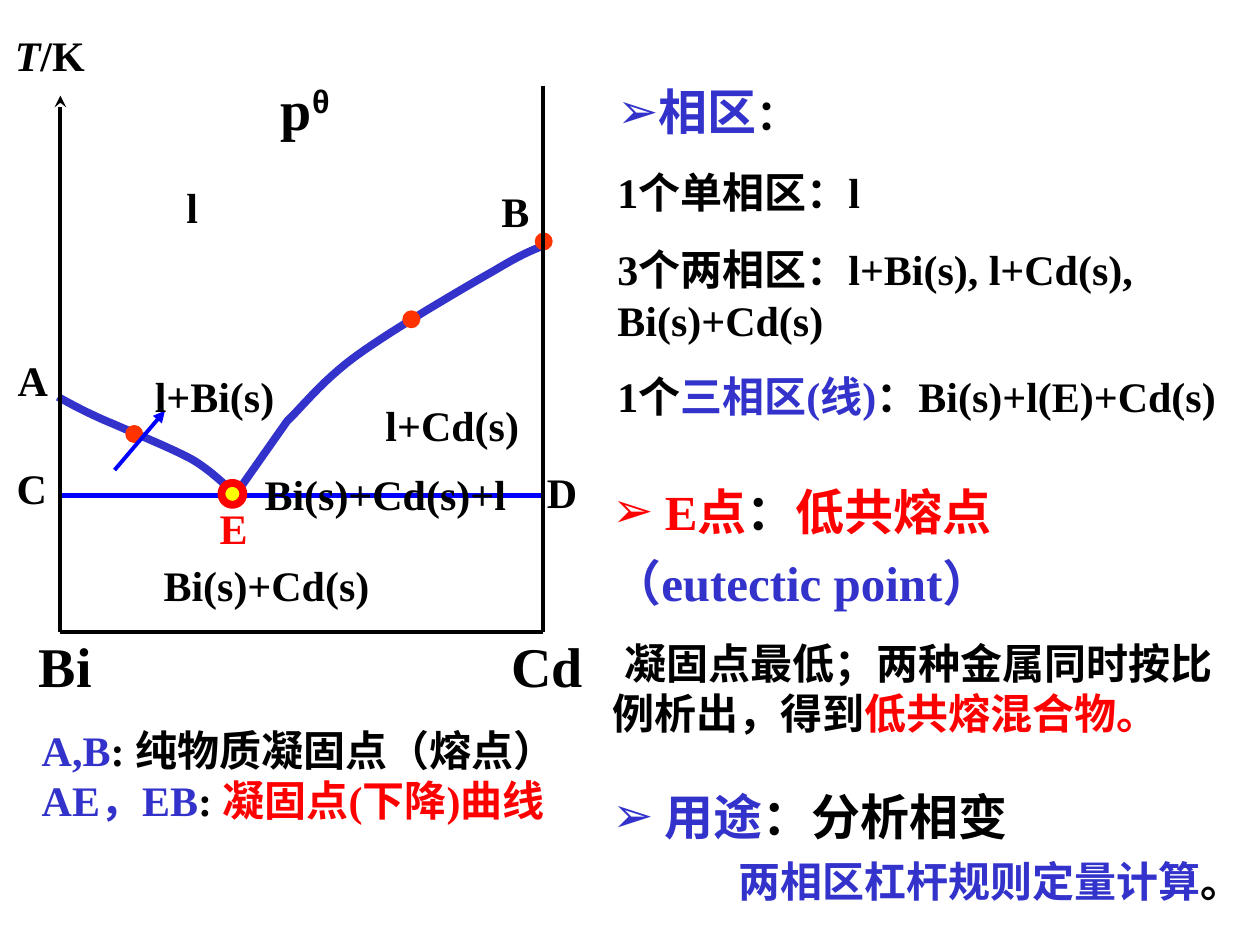
from lxml.etree import SubElement as Sub
from pptx import Presentation
from pptx.dml.color import RGBColor
from pptx.enum.dml import MSO_LINE as Dash
from pptx.enum.shapes import MSO_CONNECTOR as Conn, MSO_SHAPE as Kind
from pptx.enum.text import MSO_ANCHOR as Anchor, MSO_AUTO_SIZE as Fit
from pptx.oxml.ns import qn
from pptx.util import Pt

INK, RED, BLUE, PURE = "000000", "FF0000", "3333CC", "0000FF"
DOT, GOLD = "FF3300", "FFFF00"
FONT = "Times New Roman"


def color(code):
    """Turn a hex string into a colour."""
    return RGBColor.from_string(code)


def style(run, size, code, font=FONT):
    """Format one run in bold."""
    run.font.name, run.font.size, run.font.bold = font, Pt(size), True
    run.font.color.rgb = color(code)


def label(slide, x, y, text, size=24, code=INK):
    """Place a one-line label and return its paragraph."""
    box = slide.shapes.add_textbox(Pt(x), Pt(y), Pt(180), Pt(size * 1.2))
    frame = box.text_frame
    frame.margin_left = frame.margin_right = 0
    frame.margin_top = frame.margin_bottom = 0
    frame.word_wrap = True
    frame.text = text
    para = frame.paragraphs[0]
    style(para.runs[0], size, code)
    return para


def line(slide, x, y, ends, code=INK, width=2.25, dash=None, tip=None):
    """Draw a straight line relative to x and y, with an optional tip."""
    a, b, c, d = ends
    link = slide.shapes.add_connector(
        Conn.STRAIGHT, Pt(x + a), Pt(y + b), Pt(x + c), Pt(y + d))
    link.line.color.rgb, link.line.width = color(code), Pt(width)
    if dash:
        link.line.dash_style = dash
    if tip:
        Sub(link.line._get_or_add_ln(), qn("a:tailEnd"), type=tip)
    Sub(link._element.spPr, qn("a:effectLst"))


def disc(slide, x, y, size, fill, edge, width):
    """Draw a dot centred on x and y."""
    dot = slide.shapes.add_shape(
        Kind.OVAL, Pt(x - size / 2), Pt(y - size / 2), Pt(size), Pt(size))
    dot.shadow.inherit = False
    dot.fill.solid()
    dot.fill.fore_color.rgb = color(fill)
    dot.line.color.rgb, dot.line.width = color(edge), Pt(width)


def bend(pts, steps=12):
    """List the points along a chain of cubic curves."""
    path = [pts[0]]
    for k in range(0, len(pts) - 1, 3):
        for n in range(1, steps + 1):
            t = n / steps
            u = 1 - t
            mix = (u ** 3, 3 * u * u * t, 3 * u * t * t, t ** 3)
            path.append(tuple(sum(m * p[i] for m, p in zip(mix, pts[k:k + 4]))
                              for i in (0, 1)))
    return path


def curve(slide, x, y, pts):
    """Draw a smooth open curve relative to x and y."""
    path = [(Pt(x + a), Pt(y + b)) for a, b in bend(pts)]
    pen = slide.shapes.build_freeform(*path[0])
    pen.add_line_segments(path[1:], close=False)
    form = pen.convert_to_shape()
    form.shadow.inherit = False
    form.fill.background()
    form.line.color.rgb, form.line.width = color(BLUE), Pt(4.5)


def diagram(slide, x, y, wide, high):
    """Draw the phase diagram in its plot box."""
    curve(slide, x, y, [
        (100.9, 232.5), (110.5, 218.8), (120.1, 205.2), (129.7, 191.5),
        (136, 186), (149, 169), (168.5, 154.8),
        (188, 140.4), (229.7, 116), (247.7, 105.8),
        (265.7, 95), (271, 93.6), (wide, 91.4)])
    curve(slide, x, y, [
        (-1.4, 177.8), (8, 183), (17.3, 188), (31, 193.6),
        (39, 197.2), (64, 207.3), (75.7, 213.8),
        (86.5, 220.3), (95.8, 229.6), (99.4, 233.2)])
    line(slide, x, y, (0, 234, wide, 234), PURE, 3)
    for a, b in ((200.6, 133.5), (276.2, 89), (42.2, 199)):
        disc(slide, x + a, y + b, 8, DOT, DOT, 2.25)
    line(slide, x, y, (0, high, 0, 5.7), tip="stealth")
    line(slide, x, y, (0, high, wide, high))
    line(slide, x, y, (wide, 0, wide, high))
    disc(slide, x + 98.3, y + 233.2, 12.5, GOLD, RED, 4.5)
    line(slide, x, y, (31, 219.6, 59.8, 185.7), PURE, tip="triangle")
    for a, b, text in (
            (72, 54.7, "l"), (59, 270.7, "Bi(s)+Cd(s)"),
            (185.8, 179.2, "l+Cd(s)"), (54, 162.7, "l+Bi(s)"),
            (116.7, 218.8, "Bi(s)+Cd(s)+l"), (252, 56.8, "B"),
            (-24.4, 153.3, "A"), (-25, 215.2, "C"), (278, 217.4, "D")):
        label(slide, x + a, y + b, text)
    label(slide, x + 91, y + 238.3, "E", code=RED)
    for a, text in ((-12.2, "Bi"), (257.8, "Cd")):
        label(slide, x + a, y + high, text, 32)
    axis = label(slide, x - 26, y - 32.4, "T")
    axis.runs[0].font.italic = True
    unit = axis.add_run()
    unit.text = "/K"
    style(unit, 24, INK)
    unit.font.italic = False
    mark = label(slide, x + 126, y - 6.5, "p", 32).add_run()
    mark.text = "θ"
    style(mark, 32, INK, "Arial")
    mark.font._element.set("baseline", "30000")


def block(holder, box, paras):
    """Fill a body placeholder with (gap, margin, indent, bullet, parts)."""
    holder.left, holder.top, holder.width, holder.height = map(Pt, box)
    frame = holder.text_frame
    frame.word_wrap, frame.auto_size = True, Fit.NONE
    frame.vertical_anchor = Anchor.TOP
    for n, (gap, margin, indent, bullet, parts) in enumerate(paras):
        para = frame.add_paragraph() if n else frame.paragraphs[0]
        props = para._p.get_or_add_pPr()
        props.set("marL", str(Pt(margin)))
        props.set("indent", str(Pt(indent)))
        if bullet:
            tint = Sub(props, qn("a:buClr"))
            Sub(tint, qn("a:srgbClr"), val=bullet)
            Sub(props, qn("a:buFont"), typeface="Arial")
            Sub(props, qn("a:buChar"), char="➢")
        else:
            Sub(props, qn("a:buNone"))
        para.space_before = Pt(gap)
        for text, size, code in parts:
            if text == "\v":
                para.add_line_break()
                continue
            run = para.add_run()
            run.text = text
            style(run, size, code)


def notes(slide):
    """Fill the four text blocks around the diagram."""
    body = {p.placeholder_format.idx: p for p in slide.placeholders}
    block(body[1], (345.6, 43.2, 374.4, 229.7), [
        (0, 23, -23, BLUE, [("相区", 28, BLUE), ("：", 24, INK)]),
        (15, 0, 0, None, [("1个单相区：l", 24, INK)]),
        (15, 0, 0, None, [("3个两相区：l+Bi(s), l+Cd(s),", 24, INK),
                          ("\v", 24, INK), ("Bi(s)+Cd(s)", 24, INK)]),
        (15, 0, 0, None, [("1个", 24, INK), ("三相区(线)", 24, BLUE),
                          ("：Bi(s)+l(E)+Cd(s)", 24, INK)])])
    block(body[2], (342.7, 271.4, 377.3, 159), [
        (0, 30, -30, RED, [("E点", 28, RED), ("：", 28, INK),
                           ("低共熔点", 28, RED)]),
        (7, 0, 0, None, [("（eutectic point）", 28, BLUE)]),
        (15, 0, 7, None, [
            ("凝固点最低；两种金属同时按比例析出，得到", 24, INK),
            ("低共熔混合物。", 24, RED)])])
    block(body[3], (342.7, 445.7, 377.3, 75.6), [
        (0, 30, -30, BLUE, [("用途", 28, BLUE), ("：分析相变", 28, INK)]),
        (6, 72, 0, None, [("两相区杠杆规则定量计算", 24, BLUE),
                          ("。", 24, INK)])])
    block(body[4], (16.6, 410.4, 311.8, 122.4), [
        (0, 0, 0, None, [("A,B", 24, BLUE),
                         (": 纯物质凝固点（熔点）", 24, INK)]),
        (0, 0, 0, None, [("AE，EB", 24, BLUE), (": ", 24, INK),
                         ("凝固点(下降)曲线", 24, RED)])])


def main():
    """Build and save the slide."""
    deck = Presentation()
    deck.slide_width, deck.slide_height = Pt(720), Pt(540)
    slide = deck.slides.add_slide(deck.slide_layouts[4])
    title = slide.shapes.title._element
    title.getparent().remove(title)
    diagram(slide, 34.5, 49, 276, 312)
    notes(slide)
    deck.save("out.pptx")


if __name__ == "__main__":
    main()
